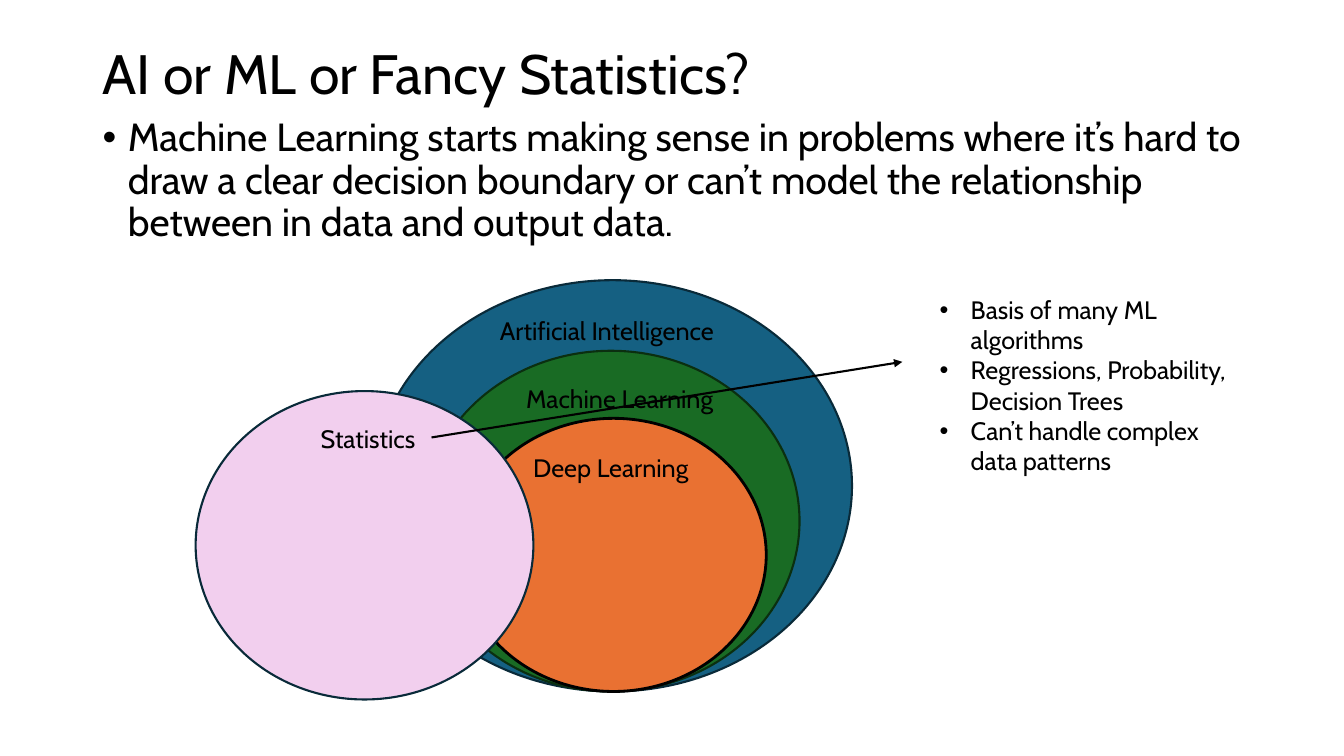
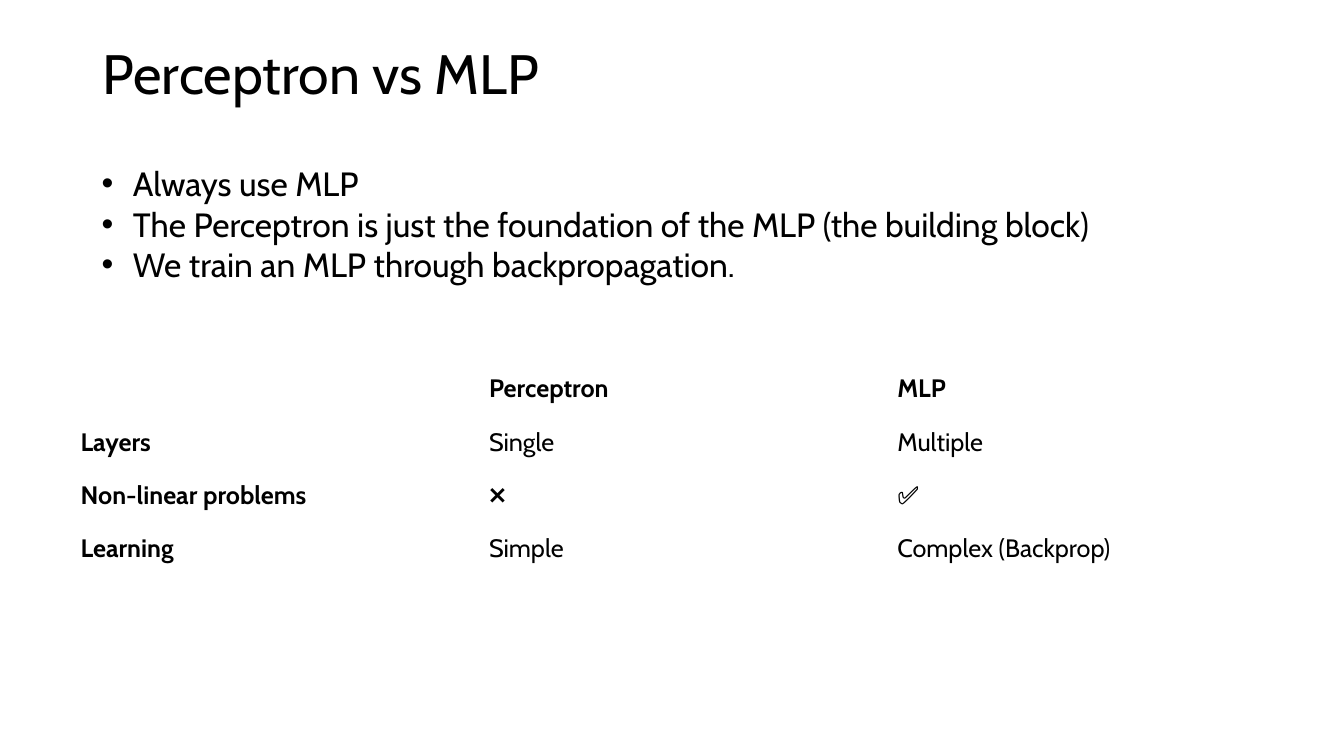
"""Build two slides on machine learning and on the perceptron versus the MLP."""
from lxml import etree
from pptx import Presentation
from pptx.dml.color import RGBColor
from pptx.enum.shapes import MSO_CONNECTOR, MSO_SHAPE
from pptx.enum.text import MSO_ANCHOR, PP_ALIGN
from pptx.oxml.ns import qn
from pptx.util import Inches, Pt

OVAL = MSO_SHAPE.OVAL
STRAIGHT = MSO_CONNECTOR.STRAIGHT
TOP, MIDDLE = MSO_ANCHOR.TOP, MSO_ANCHOR.MIDDLE
LEFT, CENTER = PP_ALIGN.LEFT, PP_ALIGN.CENTER

FONT = "Cabin"
BLACK = RGBColor(0x00, 0x00, 0x00)
BLUE = RGBColor(0x15, 0x60, 0x82)
NAVY = RGBColor(0x09, 0x2A, 0x39)
GREEN = RGBColor(0x19, 0x6B, 0x24)
DARK_GREEN = RGBColor(0x0B, 0x2F, 0x10)
ORANGE = RGBColor(0xE9, 0x71, 0x32)
PINK = RGBColor(0xF2, 0xCF, 0xEE)

FIELDS = [
    ((3.7, 2.78, 4.75, 4.08), BLUE, NAVY, 1.5,
     "Artificial Intelligence", (4.86, 3.08, 2.51, 0.4), LEFT),
    ((4.19, 3.48, 3.74, 3.38), GREEN, DARK_GREEN, 1.5,
     "Machine Learning", (5.12, 3.75, 2.13, 0.4), LEFT),
    ((4.57, 4.15, 3.03, 2.71), ORANGE, BLACK, 2,
     "Deep Learning", (5.19, 4.44, 1.84, 0.4), LEFT),
    ((1.94, 3.88, 3.35, 3.06), PINK, NAVY, 1.5,
     "Statistics", (2.73, 4.15, 1.84, 0.4), CENTER),
]
COMPARISON = [
    ["", "Perceptron", "MLP"],
    ["Layers", "Single", "Multiple"],
    ["Non-linear problems", "❌", "✅"],
    ["Learning", "Simple", "Complex (Backprop)"],
]


def inches(values):
    return [Inches(value) for value in values]


def add_bullet(paragraph, indent):
    properties = paragraph._p.get_or_add_pPr()
    properties.set("marL", str(Inches(indent)))
    properties.set("indent", str(-Inches(indent)))
    etree.SubElement(properties, qn("a:buFont"), typeface="Arial")
    etree.SubElement(properties, qn("a:buChar"), char="•")


def write(frame, *lines, size=18, bold=False, align=LEFT, spacing=None, indent=None):
    for index, line in enumerate(lines):
        paragraph = frame.add_paragraph() if index else frame.paragraphs[0]
        if indent:
            add_bullet(paragraph, indent)
        paragraph.alignment = align
        paragraph.line_spacing = spacing
        span = paragraph.add_run()
        span.text = line
        span.font.name = FONT
        span.font.size = Pt(size)
        span.font.bold = bold
        span.font.color.rgb = BLACK


def add_text(page, place, *lines, anchor=TOP, **text_format):
    frame = page.shapes.add_textbox(*inches(place)).text_frame
    frame.word_wrap = True
    frame.vertical_anchor = anchor
    write(frame, *lines, **text_format)


def add_page(deck, title):
    page = deck.slides.add_slide(deck.slide_layouts[6])
    add_text(page, (0.92, 0.4, 11.5, 0.72), title,
             anchor=MIDDLE, size=39.6, spacing=0.9)
    return page


def add_oval(page, place, fill, outline, width):
    oval = page.shapes.add_shape(OVAL, *inches(place))
    oval.shadow.inherit = False
    oval.fill.solid()
    oval.fill.fore_color.rgb = fill
    oval.line.color.rgb = outline
    oval.line.width = Pt(width)


def add_arrow(page, start, end):
    arrow = page.shapes.add_connector(STRAIGHT, *inches(start + end))
    arrow.line.color.rgb = BLACK
    arrow.line.width = Pt(1.5)
    etree.SubElement(arrow.line._get_or_add_ln(), qn("a:tailEnd"), type="triangle")
    etree.SubElement(arrow._element.spPr, qn("a:effectLst"))


def add_table(page, place, rows):
    table = page.shapes.add_table(len(rows), len(rows[0]), *inches(place)).table
    table.first_row = False
    table.horz_banding = False
    for row_index, row in enumerate(rows):
        for column_index, text in enumerate(row):
            cell = table.cell(row_index, column_index)
            cell.fill.background()
            cell.vertical_anchor = MIDDLE
            if text:
                heading = row_index == 0 or column_index == 0
                write(cell.text_frame, text, bold=heading)


def build_statistics_page(deck):
    page = add_page(deck, "AI or ML or Fancy Statistics?")
    add_text(page, (0.92, 1.12, 11.5, 1.4),
             "Machine Learning starts making sense in problems where it’s hard to "
             "draw a clear decision boundary or can’t model the relationship "
             "between in data and output data.",
             size=28, spacing=0.9, indent=0.25)
    for place, fill, outline, width, name, name_place, align in FIELDS:
        add_oval(page, place, fill, outline, width)
        add_text(page, name_place, name, align=align)
    add_arrow(page, (4.28, 4.34), (8.95, 3.59))
    add_text(page, (9.22, 2.87, 3.2, 1.92),
             "Basis of many ML algorithms",
             "Regressions, Probability, Decision Trees",
             "Can’t handle complex data patterns",
             indent=0.31)


def build_perceptron_page(deck):
    page = add_page(deck, "Perceptron vs MLP")
    add_table(page, (0.7, 3.59, 12.15, 2.12), COMPARISON)
    add_text(page, (0.91, 1.57, 11.72, 1.31),
             "Always use MLP",
             "The Perceptron is just the foundation of the MLP (the building block)",
             "We train an MLP through backpropagation.",
             size=24, indent=0.31)


def main():
    deck = Presentation()
    deck.slide_width = Inches(13.33)
    deck.slide_height = Inches(7.5)
    build_statistics_page(deck)
    build_perceptron_page(deck)
    deck.save("out.pptx")


if __name__ == "__main__":
    main()
